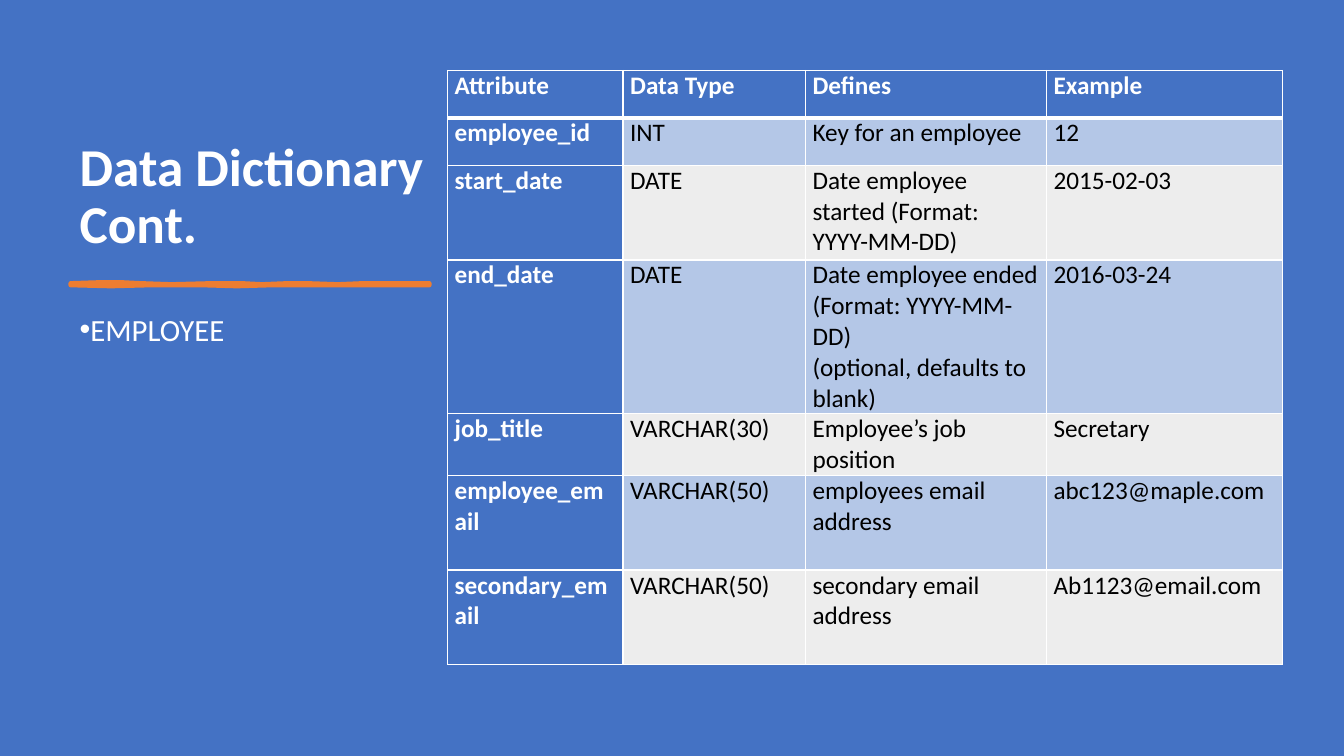
from pptx import Presentation
from pptx.dml.color import RGBColor
from pptx.enum.text import MSO_ANCHOR, MSO_AUTO_SIZE, PP_ALIGN
from pptx.oxml.ns import qn
from pptx.util import Inches, Pt
from lxml.etree import SubElement

HEX = {"blue": "4472C4", "pale": "B4C7E7", "gray": "EDEDED",
       "white": "FFFFFF", "black": "000000", "orange": "ED7D31"}
ROWS = [
    ("Attribute", "Data Type", "Defines", "Example"),
    ("employee_id", "INT", "Key for an employee", "12"),
    ("start_date", "DATE", "Date employee started (Format: YYYY-MM-DD)",
     "2015-02-03"),
    ("end_date", "DATE", "Date employee ended\n(Format: YYYY-MM-DD)\n"
     "(optional, defaults to blank)", "2016-03-24"),
    ("job_title", "VARCHAR(30)", "Employee’s job position", "Secretary"),
    ("employee_email", "VARCHAR(50)", "employees email address",
     "abc123@maple.com"),
    ("secondary_email", "VARCHAR(50)", "secondary email address",
     "Ab1123@email.com"),
]
WIDTHS = [1.74, 1.81, 2.39, 2.34]
HEIGHTS = [0.47, 0.47, 0.94, 1.33, 0.47, 0.94, 0.94]
WAVE = [(0.7, 2.81), (1.0, 2.8), (1.2, 2.8), (1.4, 2.81), (1.7, 2.82),
        (2.1, 2.81), (2.4, 2.81), (2.6, 2.82), (2.85, 2.81), (3.05, 2.81),
        (3.35, 2.82), (3.6, 2.81), (3.9, 2.81), (4.26, 2.81),
        (4.26, 2.83), (3.9, 2.83), (3.5, 2.83), (3.1, 2.83), (2.7, 2.83),
        (2.35, 2.84), (2.0, 2.83), (1.5, 2.83), (1.1, 2.84), (0.7, 2.83)]


def color(name):
    return RGBColor.from_string(HEX[name])


def apply(item, form):
    """Set every attribute named in form on item."""
    for key, value in form.items():
        setattr(item, key, value)


def style(para, size, tint, bold=False):
    apply(para.font, {"name": "Calibri", "size": Pt(size), "bold": bold})
    para.font.color.rgb = color(tint)


def fill_holder(shape, text, box, size, anchor, bold=False):
    """Move a placeholder, write its text and return the paragraph."""
    left, top, width, height = map(Inches, box)
    apply(shape, {"left": left, "top": top, "width": width, "height": height})
    frame = shape.text_frame
    frame.text = text
    apply(frame, {"word_wrap": True, "auto_size": MSO_AUTO_SIZE.NONE,
                  "vertical_anchor": anchor})
    para = frame.paragraphs[0]
    apply(para, {"alignment": PP_ALIGN.LEFT, "line_spacing": 0.9,
                 "space_before": Pt(0)})
    style(para, size, "white", bold)
    return para


def add_bullet(para):
    props = para._p.get_or_add_pPr()
    props.set("marL", "0")
    props.set("indent", str(-Inches(0.25)))
    SubElement(props, qn("a:buFont"), typeface="Arial")
    SubElement(props, qn("a:buChar"), char="•")


def draw_wave(slide):
    pen = slide.shapes.build_freeform(*map(Inches, WAVE[0]), scale=1.0)
    pen.add_line_segments([(Inches(x), Inches(y)) for x, y in WAVE[1:]])
    wave = pen.convert_to_shape()
    wave.shadow.inherit = False
    wave.fill.solid()
    wave.fill.fore_color.rgb = color("orange")
    wave.line.color.rgb = color("orange")
    wave.line.width = Pt(3)


def set_edges(cell, widths):
    """Draw white cell borders; widths maps sides to points."""
    props = cell._tc.get_or_add_tcPr()
    for spot, (side, width) in enumerate(widths.items()):
        line = props.makeelement(qn("a:ln" + side), {"w": str(Pt(width))})
        paint = SubElement(line, qn("a:solidFill"))
        SubElement(paint, qn("a:srgbClr"), val=HEX["white"])
        props.insert(spot, line)


def fill_cell(cell, text, row, col):
    head = row == 0 or col == 0
    cell.text = text
    apply(cell, {"margin_left": Inches(0.07), "margin_right": Inches(0.07),
                 "margin_top": 0, "margin_bottom": 0})
    for para in cell.text_frame.paragraphs:
        style(para, 18, "white" if head else "black", head)
    cell.fill.solid()
    band = "pale" if row % 2 else "gray"
    cell.fill.fore_color.rgb = color("blue" if head else band)
    set_edges(cell, {"L": 1, "R": 1, "T": 3 if row == 1 else 1,
                     "B": 3 if row == 0 else 1})


def add_grid(slide):
    box = map(Inches, (4.44, 0.7, sum(WIDTHS), sum(HEIGHTS)))
    grid = slide.shapes.add_table(len(ROWS), len(WIDTHS), *box).table
    for col, width in zip(grid.columns, WIDTHS):
        col.width = Inches(width)
    for row, height in zip(grid.rows, HEIGHTS):
        row.height = Inches(height)
    for row, texts in enumerate(ROWS):
        for col, text in enumerate(texts):
            fill_cell(grid.cell(row, col), text, row, col)


def main():
    deck = Presentation()
    apply(deck, {"slide_width": Inches(13.33), "slide_height": Inches(7.5)})
    slide = deck.slides.add_slide(deck.slide_layouts[1])
    slide.background.fill.solid()
    slide.background.fill.fore_color.rgb = color("blue")
    fill_holder(slide.shapes.title, "Data Dictionary Cont.",
                (0.69, 0.7, 3.75, 1.88), 38, MSO_ANCHOR.BOTTOM, True)
    draw_wave(slide)
    item = fill_holder(slide.placeholders[1], "EMPLOYEE",
                       (0.69, 3.07, 3.75, 3.73), 22, MSO_ANCHOR.TOP)
    item.space_after = Pt(6)
    add_bullet(item)
    add_grid(slide)
    deck.save("out.pptx")


if __name__ == "__main__":
    main()
